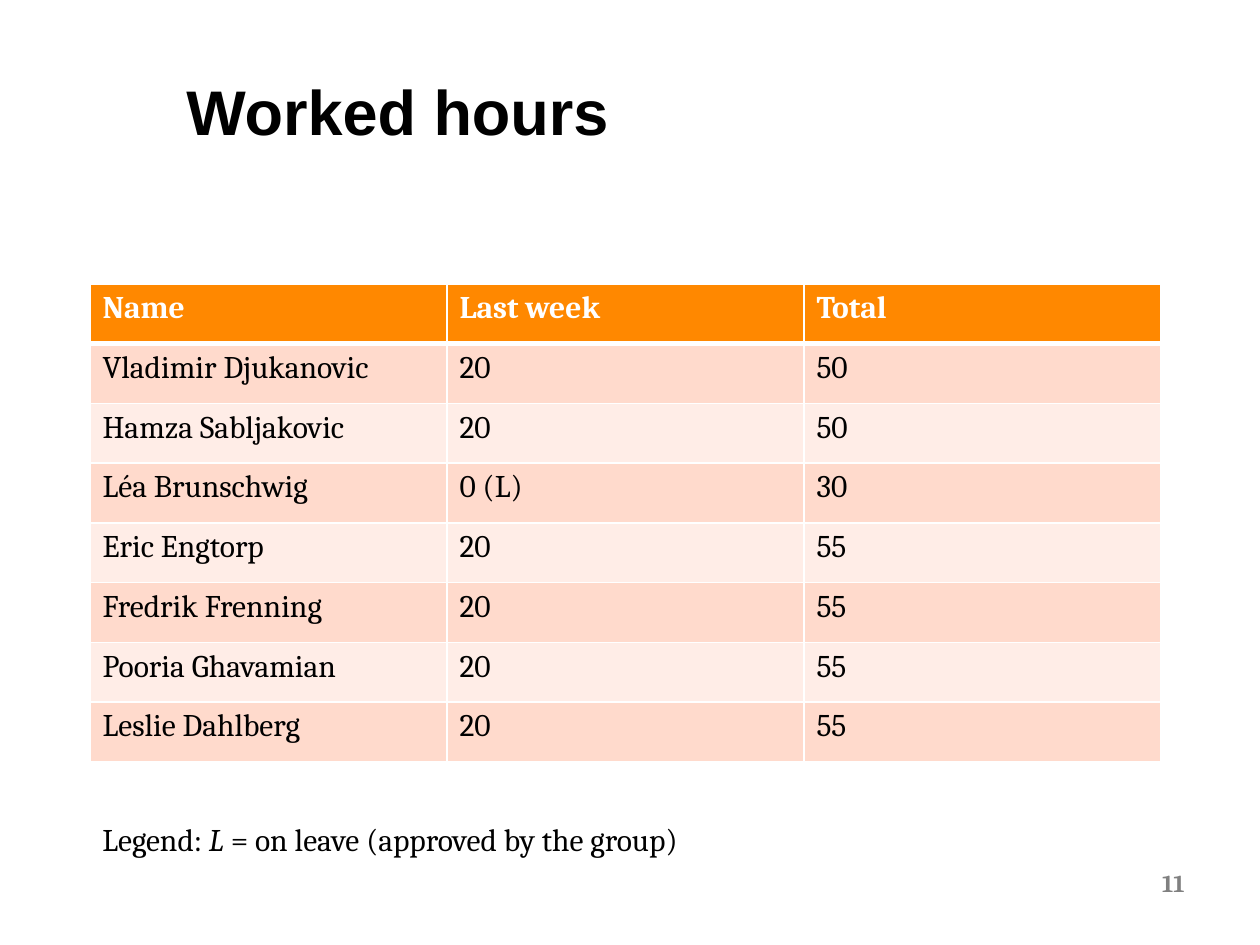
"""Build the worked hours slide: a title, a table of hours and its legend."""
from lxml import etree
from pptx import Presentation
from pptx import util as u
from pptx.dml.color import RGBColor
from pptx.enum import text
from pptx.oxml.ns import qn

PX = u.Inches(1) / 126
BODY, HEADING = "Cambria", "Arial"
WHITE, BLACK, GREY, ORANGE = "FFFFFF", "000000", "808080", "FF8800"
BANDS = ("FFDACC", "FFEDE7")

TITLE = "Worked hours"
PAGE = "11"
LEGEND = [("Legend: ", False), ("L ", True), ("= on leave (approved by the group)", False)]
HOURS = [
    ("Name", "Last week", "Total"),
    ("Vladimir Djukanovic", "20", "50"),
    ("Hamza Sabljakovic", "20", "50"),
    ("Léa Brunschwig", "0 (L)", "30"),
    ("Eric Engtorp", "20", "55"),
    ("Fredrik Frenning", "20", "55"),
    ("Pooria Ghavamian", "20", "55"),
    ("Leslie Dahlberg", "20", "55"),
]
TITLE_BOX = (174, 72, 903, 176)
PAGE_BOX = (1086, 866, 111, 34)
TABLE_BOX = (90, 284, 1071, 478)
LEGEND_BOX = (90, 814, 666, 50)


def px(*lengths):
    return [u.Emu(round(length * PX)) for length in lengths]


def color(value):
    return RGBColor.from_string(value)


def write(frame, words, size=18, font=BODY, fill=BLACK, bold=False, align=None,
          anchor=text.MSO_ANCHOR.TOP, spacing=None):
    frame.word_wrap = True
    frame.vertical_anchor = anchor
    paragraph = frame.paragraphs[0]
    paragraph.alignment = align
    paragraph.line_spacing = spacing
    for part, italic in [(words, False)] if isinstance(words, str) else words:
        run = paragraph.add_run()
        run.text = part
        run.font.name = font
        run.font.size = u.Pt(size)
        run.font.bold = bold
        run.font.italic = italic
        run.font.color.rgb = color(fill)


def border(cell, **widths):
    properties = cell._tc.get_or_add_tcPr()
    for place, side in enumerate("LRTB"):
        line = etree.Element(qn(f"a:ln{side}"), w=str(u.Pt(widths.get(side, 1))))
        solid = etree.SubElement(line, qn("a:solidFill"))
        etree.SubElement(solid, qn("a:srgbClr"), val=WHITE)
        properties.insert(place, line)


def add_hours(slide):
    hours = slide.shapes.add_table(len(HOURS), len(HOURS[0]), *px(*TABLE_BOX)).table
    for r, entries in enumerate(HOURS):
        header = r == 0
        for c, entry in enumerate(entries):
            cell = hours.cell(r, c)
            write(cell.text_frame, entry, fill=WHITE if header else BLACK, bold=header)
            cell.fill.solid()
            cell.fill.fore_color.rgb = color(ORANGE if header else BANDS[(r - 1) % 2])
            border(cell, T=3 if r == 1 else 1, B=3 if header else 1)


def main():
    deck = Presentation()
    deck.slide_width, deck.slide_height = px(1260, 945)
    slide = deck.slides.add_slide(deck.slide_layouts[6])
    boxes = [
        (TITLE_BOX, TITLE, dict(size=36, font=HEADING, bold=True, spacing=u.Pt(40))),
        (PAGE_BOX, PAGE, dict(size=14, fill=GREY, bold=True, align=text.PP_ALIGN.RIGHT,
                              anchor=text.MSO_ANCHOR.MIDDLE)),
        (LEGEND_BOX, LEGEND, {}),
    ]
    for place, words, style in boxes:
        write(slide.shapes.add_textbox(*px(*place)).text_frame, words, **style)
    add_hours(slide)
    deck.save("out.pptx")


if __name__ == "__main__":
    main()
